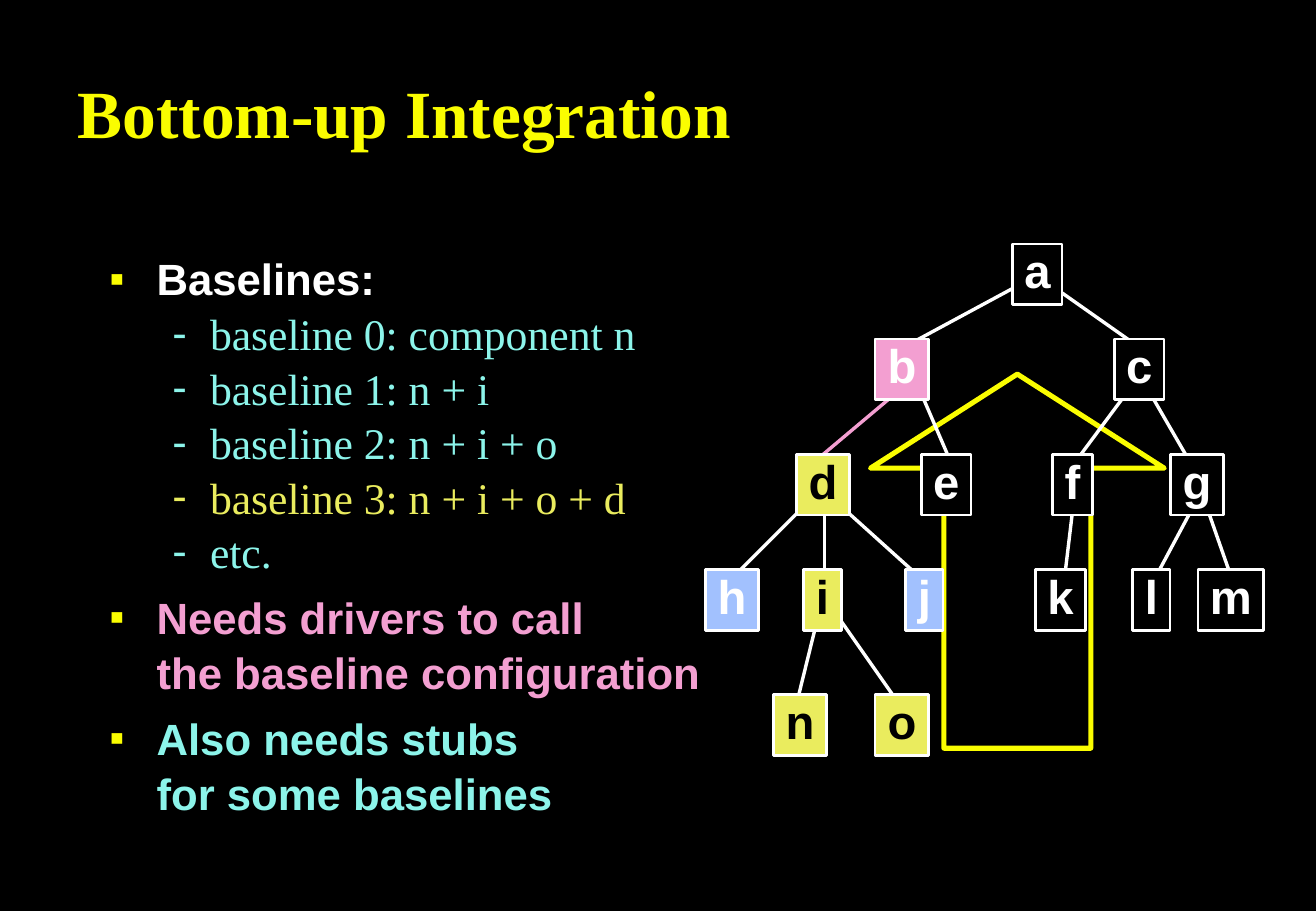
from lxml.etree import SubElement
from pptx import Presentation
from pptx.dml.color import RGBColor
from pptx.enum.shapes import MSO_CONNECTOR, MSO_SHAPE
from pptx.enum.text import MSO_ANCHOR, MSO_AUTO_SIZE, PP_ALIGN
from pptx.oxml.ns import qn
from pptx.util import Pt

EMU_PER_PX = 9144  # 100 px to the inch

BLACK, WHITE, YELLOW = "000000", "FFFFFF", "FAFD00"
AQUA, PINK, LEMON, BLUE = "8CF4EA", "F39FD1", "EAEC5E", "A2C1FE"
SANS, SERIF = "Arial", "Times New Roman"

# level, text, colour
POINTS = [
    (0, "Baselines:", WHITE),
    (1, "baseline 0: component n", AQUA),
    (1, "baseline 1: n + i", AQUA),
    (1, "baseline 2: n + i + o", AQUA),
    (1, "baseline 3: n + i + o + d", LEMON),
    (1, "etc.", AQUA),
    (0, "Needs drivers to call\vthe baseline configuration", PINK),
    (0, "Also needs stubs\vfor some baselines", AQUA),
]

# Tree rows: top, then (name, left, width, fill), all relative to the tree's box
NODE_HEIGHT = 50
TREE_ROWS = [
    (0, [("a", 253, 41, BLACK)]),
    (78, [("b", 140, 44, PINK), ("c", 337, 41, BLACK)]),
    (173, [("d", 75, 44, LEMON), ("e", 178, 41, BLACK),
           ("f", 286, 33, BLACK), ("g", 383, 44, BLACK)]),
    (268, [("h", 0, 44, BLUE), ("i", 81, 31, LEMON), ("j", 165, 31, BLUE),
           ("k", 272, 41, BLACK), ("l", 352, 31, BLACK), ("m", 406, 54, BLACK)]),
    (371, [("n", 56, 44, LEMON), ("o", 140, 44, LEMON)]),
]

# Start x, y, end x, y, colour; the ends lie under the nodes
TREE_EDGES = [
    (267, 29, 165, 84, WHITE),    # a-b
    (278, 29, 359, 86, WHITE),    # a-c
    (159, 121, 90, 179, PINK),    # b-d
    (177, 121, 202, 179, WHITE),  # b-e
    (360, 105, 305, 179, WHITE),  # c-f
    (359, 110, 399, 179, WHITE),  # c-g
    (95, 202, 18, 279, WHITE),    # d-h
    (98, 216, 98, 274, WHITE),    # d-i
    (112, 216, 182, 279, WHITE),  # d-j
    (304, 207, 296, 274, WHITE),  # f-k
    (402, 216, 371, 274, WHITE),  # g-l
    (409, 205, 436, 282, WHITE),  # g-m
    (96, 294, 75, 379, WHITE),    # i-n
    (99, 292, 162, 382, WHITE),   # i-o
]


def px(length):
    return length * EMU_PER_PX


def colour(hex_code):
    return RGBColor.from_string(hex_code)


def place(shape, left, top, width, height):
    shape.left, shape.top = px(left), px(top)
    shape.width, shape.height = px(width), px(height)


def format_runs(paragraph, font_name, size, hex_code, bold):
    for run in paragraph.runs:
        font = run.font
        font.name, font.size, font.bold = font_name, Pt(size), bold
        font.color.rgb = colour(hex_code)


def set_bullet(paragraph, character, hex_code, percent, margin, hanging):
    properties = paragraph._p.get_or_add_pPr()
    properties.set("marL", str(px(margin)))
    properties.set("indent", str(-px(hanging)))
    bullet_colour = SubElement(properties, qn("a:buClr"))
    SubElement(bullet_colour, qn("a:srgbClr"), val=hex_code)
    SubElement(properties, qn("a:buSzPct"), val=str(percent * 1000))
    SubElement(properties, qn("a:buFont"), typeface=SANS)
    SubElement(properties, qn("a:buChar"), char=character)


def fill_title(title, left, top, width, height):
    place(title, left, top, width, height)
    frame = title.text_frame
    frame.text = "Bottom-up Integration"
    frame.auto_size = MSO_AUTO_SIZE.NONE
    frame.vertical_anchor = MSO_ANCHOR.MIDDLE
    paragraph = frame.paragraphs[0]
    paragraph.alignment = PP_ALIGN.LEFT
    format_runs(paragraph, SERIF, 40, YELLOW, True)


def fill_points(body, left, top, width, height):
    place(body, left, top, width, height)
    frame = body.text_frame
    frame.auto_size = MSO_AUTO_SIZE.NONE
    for index, (level, text, text_colour) in enumerate(POINTS):
        paragraph = frame.add_paragraph() if index else frame.paragraphs[0]
        paragraph.text = text
        paragraph.level = level
        if level:
            set_bullet(paragraph, "-", text_colour, 100, 82, 31)
        else:
            set_bullet(paragraph, "■", YELLOW, 50, 38, 38)
        paragraph.line_spacing = 1.04
        paragraph.space_before = Pt(7 if index and not level else 0)
        format_runs(paragraph, SERIF if level else SANS, 25.9, text_colour, not level)


def add_box(slide, preset, box, fill, line, line_width):
    shape = slide.shapes.add_shape(preset, *map(px, box))
    shape.shadow.inherit = False
    shape.fill.solid()
    shape.fill.fore_color.rgb = colour(fill)
    shape.line.color.rgb = colour(line)
    shape.line.width = Pt(line_width)
    return shape


def add_up_arrow(slide, left, top, width, height):
    arrow = add_box(slide, MSO_SHAPE.UP_ARROW, (left, top, width, height), BLACK, YELLOW, 3)
    arrow.adjustments[0] = 0.5
    arrow.adjustments[1] = 0.32


def add_edge(slide, start_x, start_y, end_x, end_y, line_colour):
    edge = slide.shapes.add_connector(
        MSO_CONNECTOR.STRAIGHT, px(start_x), px(start_y), px(end_x), px(end_y))
    edge.line.color.rgb = colour(line_colour)
    edge.line.width = Pt(2)
    SubElement(edge._element.spPr, qn("a:effectLst"))


def add_node(slide, name, box, fill):
    node = add_box(slide, MSO_SHAPE.RECTANGLE, box, fill, WHITE, 1.5)
    frame = node.text_frame
    frame.text = name
    frame.word_wrap = False
    frame.vertical_anchor = MSO_ANCHOR.MIDDLE
    paragraph = frame.paragraphs[0]
    paragraph.alignment = PP_ALIGN.CENTER
    paragraph.line_spacing = 0.85
    format_runs(paragraph, SANS, 28, BLACK if fill == LEMON else WHITE, True)


def add_tree(slide, left, top):
    add_up_arrow(slide, left + 136, top + 107, 242, 308)
    for start_x, start_y, end_x, end_y, line_colour in TREE_EDGES:
        add_edge(slide, left + start_x, top + start_y, left + end_x, top + end_y, line_colour)
    for row_top, nodes in TREE_ROWS:
        for name, node_left, width, fill in nodes:
            box = (left + node_left, top + row_top, width, NODE_HEIGHT)
            add_node(slide, name, box, fill)


def main():
    presentation = Presentation()
    presentation.slide_width, presentation.slide_height = px(1084), px(750)
    slide = presentation.slides.add_slide(presentation.slide_layouts[1])
    slide.background.fill.solid()
    slide.background.fill.fore_color.rgb = colour(BLACK)
    fill_title(slide.shapes.title, 54, 58, 921, 67)
    fill_points(slide.placeholders[1], 81, 201, 921, 467)
    add_tree(slide, 581, 201)
    presentation.save("out.pptx")


if __name__ == "__main__":
    main()
